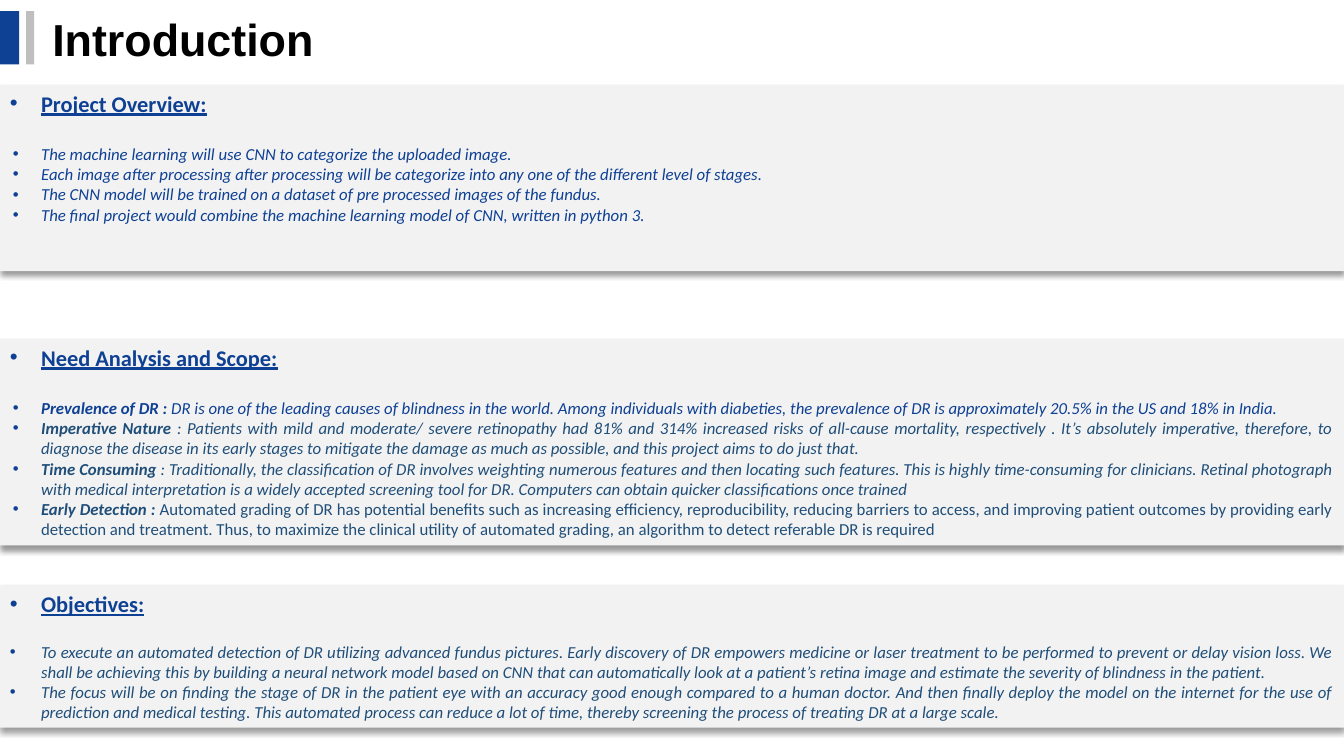
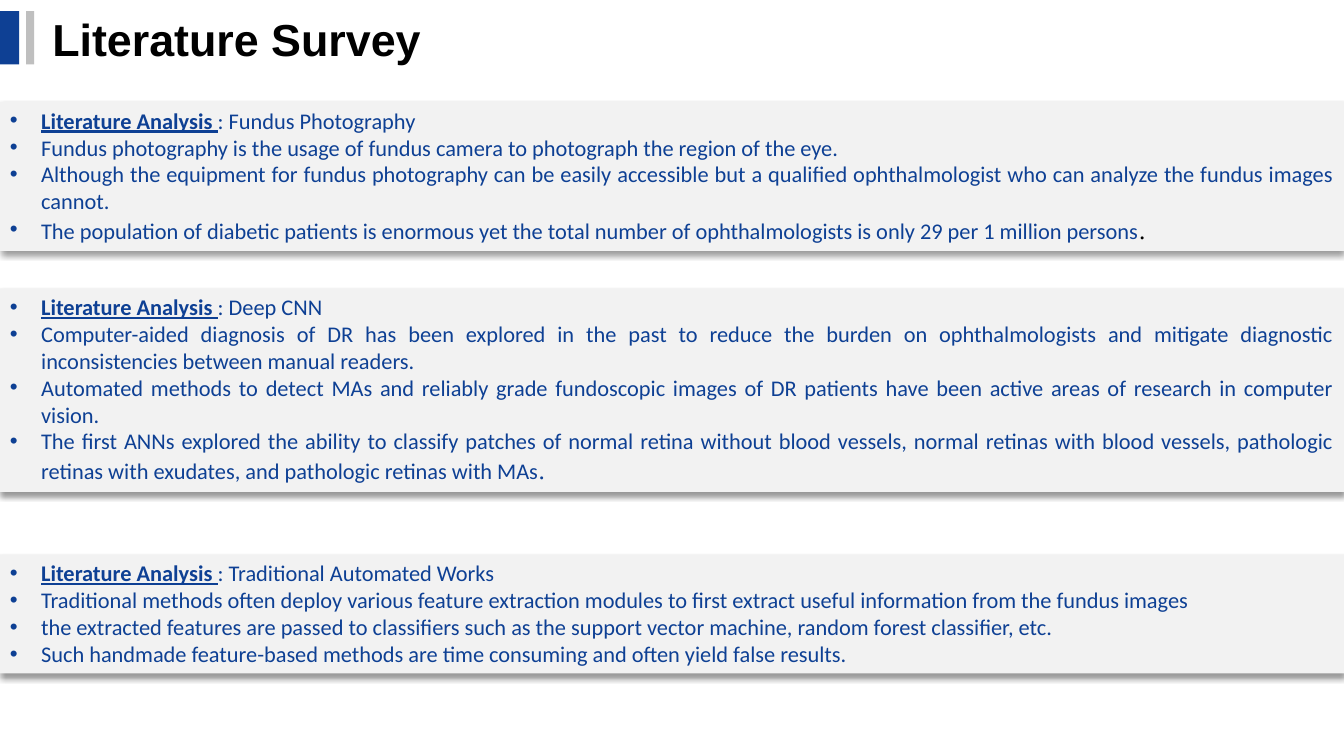
from lxml import etree
from pptx import Presentation
from pptx import util as u
from pptx.dml import color
from pptx.enum import shapes, text
from pptx.oxml import ns

HUES = {
    "blue": "0E4094",
    "steel": "1F4E79",
    "grey": "BFBFBF",
    "panel": "F2F2F2",
    "black": "000000",
}
WIDE = 13.33
INDENT = 0.31

# Run formats shared by the panels
HEAD = dict(size=16, bold=True, under=True)
BODY = dict(size=16)
NOTE = dict(size=12, ital=True)
STEEL = dict(NOTE, hue="steel")
PLAIN = dict(STEEL, ital=False)
STOP = dict(size=18, font="Times New Roman")


def rgb(hue):
    return color.RGBColor.from_string(HUES[hue])


def write(para, words, size=16, font="Calibri", hue="blue",
          bold=False, ital=False, under=False):
    """Add one formatted run to a paragraph."""
    run = para.add_run()
    run.text = words
    face = run.font
    face.size, face.name = u.Pt(size), font
    face.bold, face.italic, face.underline = bold, ital, under
    face.color.rgb = rgb(hue)


def node(parent, tag, **attrs):
    item = etree.SubElement(parent, ns.qn(tag))
    for key, value in attrs.items():
        item.set(key, str(value))
    return item


def block(slide, left, top, width, height, hue):
    """Draw a flat rectangle without outline."""
    rect = slide.shapes.add_shape(
        shapes.MSO_SHAPE.RECTANGLE, u.Inches(left), u.Inches(top),
        u.Inches(width), u.Inches(height))
    rect.fill.solid()
    rect.fill.fore_color.rgb = rgb(hue)
    rect.line.fill.background()
    rect.shadow.inherit = False
    return rect


def shade(rect):
    """Cast a soft shadow straight down."""
    fx = rect._element.spPr.find(ns.qn("a:effectLst"))
    cast = node(fx, "a:outerShdw", blurRad=u.Pt(4), dist=u.Pt(3),
                dir=90 * 60000, algn="t", rotWithShape=0)
    tint = node(cast, "a:srgbClr", val=HUES["black"])
    node(tint, "a:alpha", val=40000)


def bullet(para, hang):
    """Give a paragraph a hanging blue bullet."""
    props = para._p.get_or_add_pPr()
    props.set("marL", str(u.Inches(INDENT)))
    props.set("indent", str(-u.Inches(hang)))
    tint = node(props, "a:buClr")
    node(tint, "a:srgbClr", val=HUES["blue"])
    node(props, "a:buFont", typeface="Arial")
    node(props, "a:buChar", char="•")


def panel(slide, top, height, rows, gap=0, hang=INDENT):
    """Draw a full-width panel; gap is the space in points below its head."""
    rect = block(slide, 0, top, WIDE, height, "panel")
    shade(rect)
    frame = rect.text_frame
    frame.word_wrap = True
    frame.vertical_anchor = text.MSO_ANCHOR.TOP
    for i, row in enumerate(rows):
        para = frame.paragraphs[0] if i == 0 else frame.add_paragraph()
        para.alignment = text.PP_ALIGN.JUSTIFY
        if i == 0:
            para.space_after = u.Pt(gap)
        bullet(para, hang if i else INDENT)
        for words, style in row:
            write(para, words, **style)


def page(deck, title):
    """Start a slide with the title and its two side bars."""
    slide = deck.slides.add_slide(deck.slide_layouts[6])
    block(slide, 0, 0.11, 0.19, 0.53, "blue")
    block(slide, 0.26, 0.11, 0.08, 0.53, "grey")
    box = slide.shapes.add_textbox(
        u.Inches(0.42), u.Inches(0.06), u.Inches(10.28), u.Inches(0.64))
    frame = box.text_frame
    frame.word_wrap = True
    frame.vertical_anchor = text.MSO_ANCHOR.MIDDLE
    write(frame.paragraphs[0], title, size=32, font="Arial",
          hue="black", bold=True)
    return slide


def listing(head, style, *lines):
    """Build a headed list of rows in one style."""
    return [[(head, HEAD)]] + [[(line, style)] for line in lines]


def point(label, words, strong, style):
    return [(label, dict(strong, bold=True)), (words, style)]


def survey(topic, *lines, stop=None):
    """Build the rows of one literature panel, with an optional end mark."""
    rows = listing("Literature Analysis ", BODY, *lines)
    rows[0].append((": " + topic, BODY))
    if stop:
        rows[-1].append((".", dict(STOP, hue=stop)))
    return rows


# Slide content
OVERVIEW = listing(
    "Project Overview:", NOTE,
    "The machine learning will use CNN to categorize the uploaded image.",
    "Each image after processing after processing will be categorize into "
    "any one of the different level of stages.",
    "The CNN model will be trained on a dataset of pre processed images of "
    "the fundus.",
    "The final project would combine the machine learning model of CNN, "
    "written in python 3.")

NEEDS = [
    [("Need Analysis and Scope:", HEAD)],
    point("Prevalence of DR : ",
          "DR is one of the leading causes of blindness in the world. Among "
          "individuals with diabeties, the prevalence of DR is approximately "
          "20.5% in the US and 18% in India.", NOTE, NOTE),
    point("Imperative Nature ",
          ": Patients with mild and moderate/ severe retinopathy had 81% and "
          "314% increased risks of all-cause mortality, respectively . It’s "
          "absolutely imperative, therefore, to diagnose the disease in its "
          "early stages to mitigate the damage as much as possible, and this "
          "project aims to do just that.", STEEL, STEEL),
    point("Time Consuming ",
          ": Traditionally, the classification of DR involves weighting "
          "numerous features and then locating such features. This is highly "
          "time-consuming for clinicians. Retinal photograph with medical "
          "interpretation is a widely accepted screening tool for DR. "
          "Computers can obtain quicker classifications once trained",
          STEEL, STEEL),
    point("Early Detection : ",
          "Automated grading of DR has potential benefits such as increasing "
          "efficiency, reproducibility, reducing barriers to access, and "
          "improving patient outcomes by providing early detection and "
          "treatment. Thus, to maximize the clinical utility of automated "
          "grading, an algorithm to detect referable DR is required",
          STEEL, PLAIN),
]

GOALS = listing(
    "Objectives:", STEEL,
    "To execute an automated detection of DR utilizing advanced fundus "
    "pictures. Early discovery of DR empowers medicine or laser treatment to "
    "be performed to prevent or delay vision loss. We shall be achieving this "
    "by building a neural network model based on CNN that can automatically "
    "look at a patient’s retina image and estimate the severity of blindness "
    "in the patient.",
    "The focus will be on finding the stage of DR in the patient eye with an "
    "accuracy good enough compared to a human doctor. And then finally deploy "
    "the model on the internet for the use of prediction and medical testing. "
    "This automated process can reduce a lot of time, thereby screening the "
    "process of treating DR at a large scale.")

FUNDUS = survey(
    "Fundus Photography",
    "Fundus photography is the usage of fundus camera to photograph the "
    "region of the eye.",
    "Although the equipment for fundus photography can be easily accessible "
    "but a qualified ophthalmologist who can analyze the fundus images "
    "cannot.",
    "The population of diabetic patients is enormous yet the total number of "
    "ophthalmologists is only 29 per 1 million persons",
    stop="black")

DEEP = survey(
    "Deep CNN",
    "Computer-aided diagnosis of DR has been explored in the past to reduce "
    "the burden on ophthalmologists and mitigate diagnostic inconsistencies "
    "between manual readers.",
    "Automated methods to detect MAs and reliably grade fundoscopic images of "
    "DR patients have been active areas of research in computer vision.",
    "The first ANNs explored the ability to classify patches of normal retina "
    "without blood vessels, normal retinas with blood vessels, pathologic "
    "retinas with exudates, and pathologic retinas with MAs",
    stop="blue")

WORKS = survey(
    "Traditional Automated Works",
    "Traditional methods often deploy various feature extraction modules to "
    "first extract useful information from the fundus images",
    "the extracted features are passed to classifiers such as the support "
    "vector machine, random forest classifier, etc.",
    "Such handmade feature-based methods are time consuming and often yield "
    "false results.")


def main():
    deck = Presentation()
    deck.slide_width, deck.slide_height = u.Inches(WIDE), u.Inches(7.5)

    # Introduction
    intro = page(deck, "Introduction")
    panel(intro, 0.84, 1.85, OVERVIEW, gap=19.5, hang=0.28)
    panel(intro, 3.36, 2.05, NEEDS, gap=19.5, hang=0.28)
    panel(intro, 5.81, 1.41, GOALS, gap=17)

    # Literature survey
    review = page(deck, "Literature Survey")
    panel(review, 1.01, 1.48, FUNDUS)
    panel(review, 2.86, 2.02, DEEP)
    panel(review, 5.5, 1.18, WORKS)

    deck.save("out.pptx")


if __name__ == "__main__":
    main()
